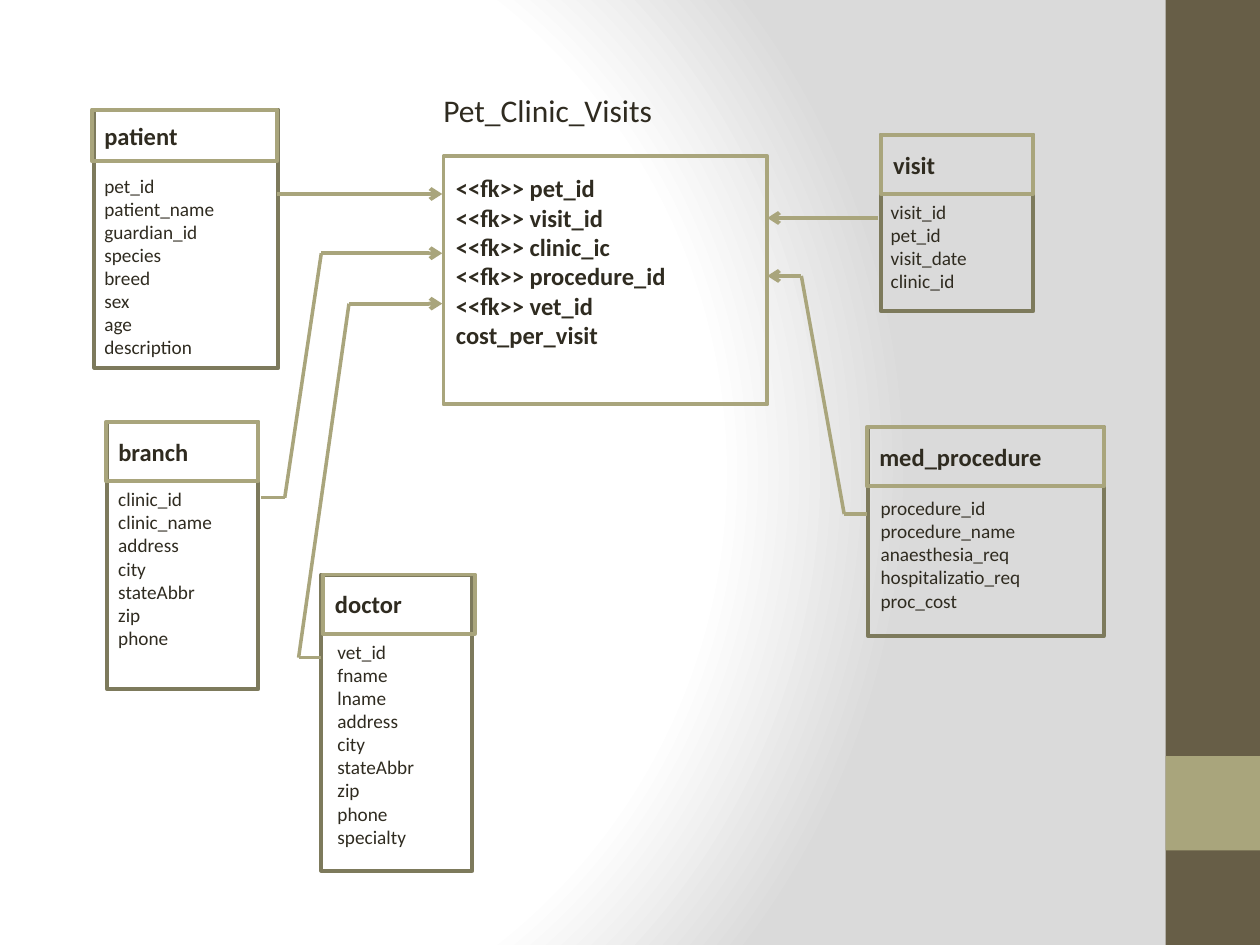
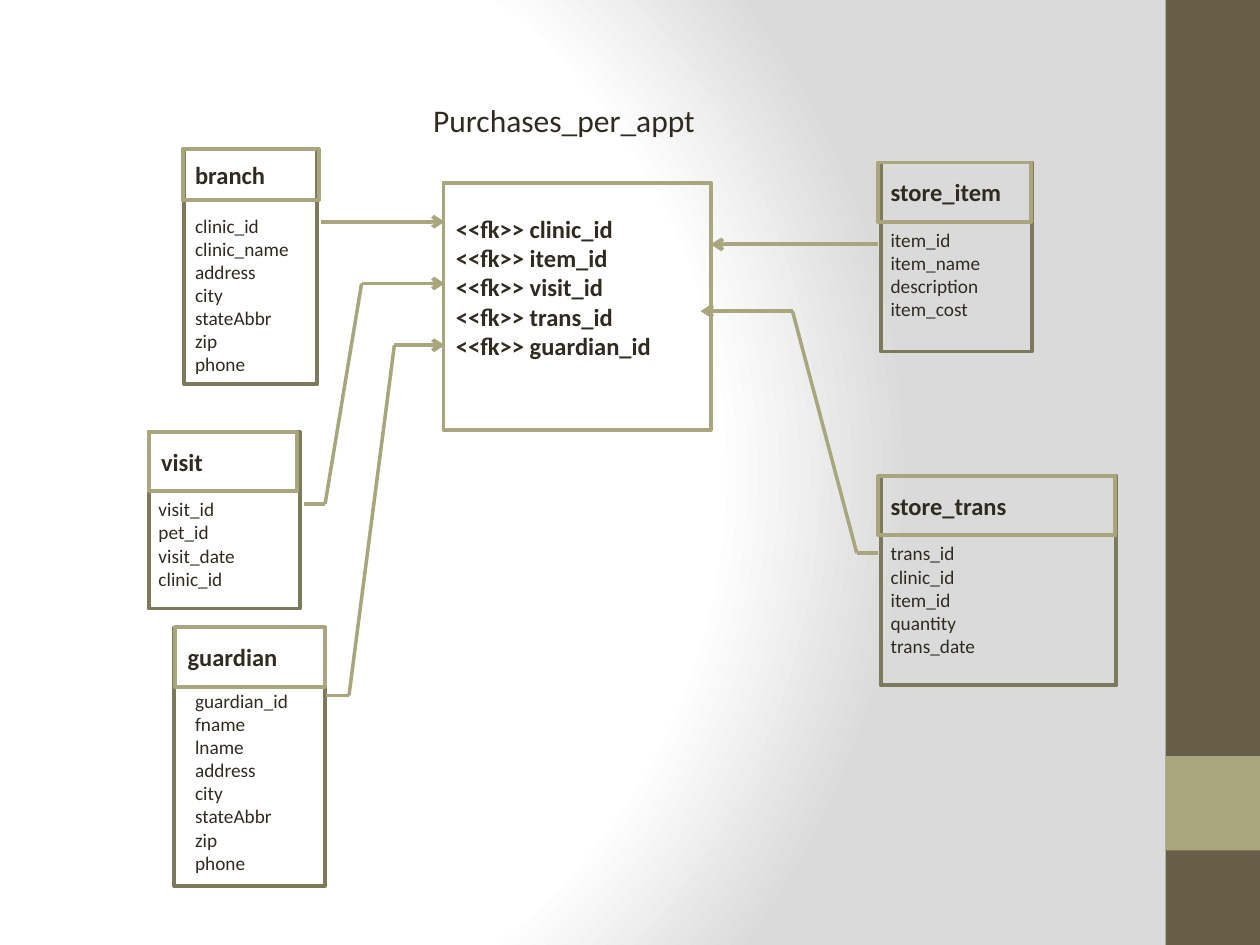
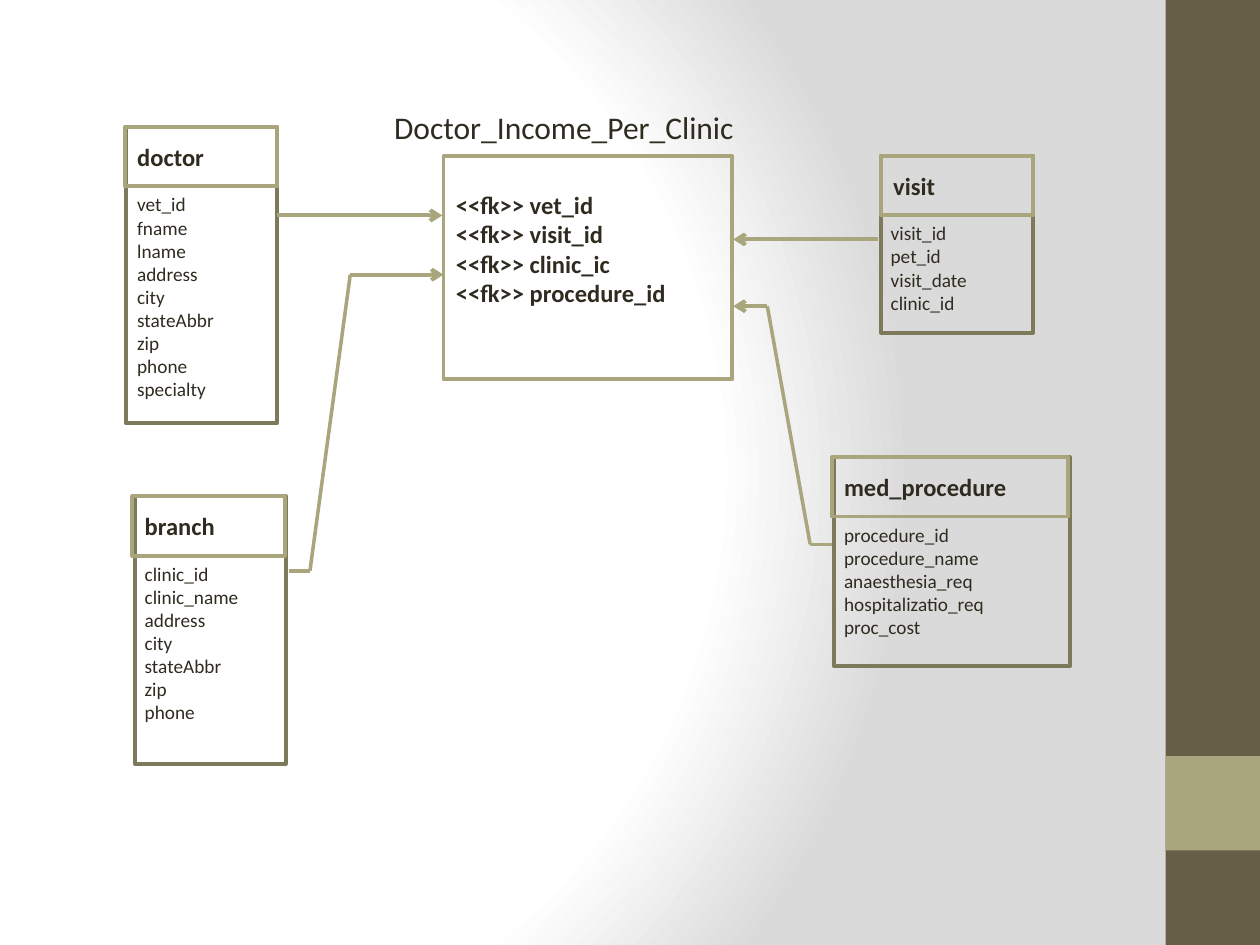
from itertools import pairwise

from lxml import etree
from pptx import Presentation
from pptx.dml.color import RGBColor
from pptx.enum.shapes import MSO_CONNECTOR as Connector, MSO_SHAPE as Shape
from pptx.enum.text import MSO_ANCHOR as Anchor, MSO_AUTO_SIZE as AutoSize, PP_ALIGN as Align
from pptx.oxml import parse_xml
from pptx.oxml.ns import nsdecls, qn
from pptx.util import Inches, Pt

INK = RGBColor(0x2F, 0x2B, 0x20)
BROWN = RGBColor(0x67, 0x5E, 0x47)
SAGE = RGBColor(0xA9, 0xA5, 0x7C)
OLIVE = RGBColor(0x7D, 0x7A, 0x5C)
FONT = "Calibri"
FRAME_WIDTH = 2.25
LINK_WIDTH = 2
HEAD_HEIGHT = 0.47
ROW_HEIGHT = 0.19
GLOW_STOPS = [(0, "FFFFFF"), (75, "FFFFFF"), (100, "DADADA")]

FIELDS = {
    "patient": ["pet_id", "patient_name", "guardian_id", "species", "breed", "sex", "age",
                "description"],
    "visit": ["visit_id", "pet_id", "visit_date", "clinic_id"],
    "branch": ["clinic_id", "clinic_name", "address", "city", "stateAbbr", "zip", "phone"],
    "doctor": ["vet_id", "fname", "lname", "address", "city", "stateAbbr", "zip", "phone",
               "specialty"],
    "guardian": ["guardian_id", "fname", "lname", "address", "city", "stateAbbr", "zip",
                 "phone"],
    "med_procedure": ["procedure_id", "procedure_name", "anaesthesia_req",
                      "hospitalizatio_req", "proc_cost"],
    "store_item": ["item_id", "item_name", "description", "item_cost"],
    "store_trans": ["trans_id", "clinic_id", "item_id", "quantity", "trans_date"],
}


def inches(box):
    return [Inches(length) for length in box]


def set_glow(master):
    fill = master.background.fill
    fill.gradient()
    stops = "".join(
        f'<a:gs pos="{place * 1000}"><a:srgbClr val="{color}"/></a:gs>'
        for place, color in GLOW_STOPS
    )
    glow = parse_xml(
        f'<a:gradFill {nsdecls("a")} rotWithShape="1"><a:gsLst>{stops}</a:gsLst>'
        '<a:path path="circle"><a:fillToRect l="20000" t="50000" r="100000" b="50000"/>'
        '</a:path></a:gradFill>'
    )
    old = next(master.element.iter(qn("a:gradFill")))
    old.getparent().replace(old, glow)


def write_lines(frame, lines, size, bold=False):
    frame.text = "\n".join(lines)
    frame.word_wrap = True
    for para in frame.paragraphs:
        para.alignment = Align.LEFT
        for span in para.runs:
            span.font.name = FONT
            span.font.size = Pt(size)
            span.font.bold = bold
            span.font.color.rgb = INK


def add_rectangle(page, box, fill=None, line=None):
    rectangle = page.shapes.add_shape(Shape.RECTANGLE, *inches(box))
    rectangle.shadow.inherit = False
    if fill is None:
        rectangle.fill.background()
    else:
        rectangle.fill.solid()
        rectangle.fill.fore_color.rgb = fill
    if line is None:
        rectangle.line.fill.background()
    else:
        rectangle.line.color.rgb = line
        rectangle.line.width = Pt(FRAME_WIDTH)
    return rectangle


def add_text(page, box, lines, size):
    frame = page.shapes.add_textbox(*inches(box)).text_frame
    write_lines(frame, lines, size)
    frame.auto_size = AutoSize.SHAPE_TO_FIT_TEXT


def add_side_band(page, box):
    left, top, width, height = box
    add_rectangle(page, box, fill=BROWN)
    add_rectangle(page, (left, top + height * 0.8, width, width), fill=SAGE)


def add_fact(page, box, keys, measures=()):
    frame = add_rectangle(page, box, line=SAGE).text_frame
    write_lines(frame, [f"<<fk>> {key}" for key in keys] + list(measures), 14, bold=True)
    frame.vertical_anchor = Anchor.MIDDLE
    frame.margin_bottom = Inches(0.35)


def add_entity(page, name, box, head_shift=-0.01, head_width=None, head_height=HEAD_HEIGHT,
               text_shift=-0.01, text_drop=HEAD_HEIGHT, text_width=None):
    left, top, width, _ = box
    fields = FIELDS[name]
    add_rectangle(page, box, line=OLIVE)
    head_box = (left + head_shift, top, head_width or width + 0.01, head_height)
    head = add_rectangle(page, head_box, line=SAGE)
    write_lines(head.text_frame, [name], 14, bold=True)
    head.text_frame.vertical_anchor = Anchor.MIDDLE
    text_height = 0.1 + ROW_HEIGHT * len(fields)
    text_box = (left + text_shift, top + text_drop, text_width or width, text_height)
    add_text(page, text_box, fields, 11)


def add_route(page, *points):
    for start, end in pairwise(points):
        link = page.shapes.add_connector(Connector.STRAIGHT, *inches(start + end))
        link.line.color.rgb = SAGE
        link.line.width = Pt(LINK_WIDTH)
        etree.SubElement(link.element.spPr, qn("a:effectLst"))
    link.line.width = Pt(FRAME_WIDTH)
    etree.SubElement(link.line._get_or_add_ln(), qn("a:tailEnd"), type="arrow")


def add_page(deck, title, title_box):
    page = deck.slides.add_slide(deck.slide_layouts[6])
    add_side_band(page, (9.25, 0, 0.75, 7.5))
    add_text(page, title_box, [title], 18)
    return page


def add_visits_page(deck):
    page = add_page(deck, "Pet_Clinic_Visits", (3.42, 0.67, 2.4, 0.4))
    add_fact(page, (3.52, 1.24, 2.57, 1.97),
             ["pet_id", "visit_id", "clinic_ic", "procedure_id", "vet_id"],
             ["cost_per_visit"])
    add_entity(page, "patient", (0.75, 0.87, 1.46, 2.05), head_shift=-0.02,
               head_height=0.41, text_shift=-0.02, text_drop=0.46)
    add_entity(page, "branch", (0.85, 3.35, 1.2, 2.12))
    add_entity(page, "doctor", (2.55, 4.56, 1.2, 2.35), head_shift=0.01, text_shift=0.03)
    add_entity(page, "visit", (6.99, 1.07, 1.21, 1.4), head_shift=0, head_width=1.21,
               text_shift=-0.02)
    add_entity(page, "med_procedure", (6.89, 3.39, 1.87, 1.66), text_shift=0,
               text_drop=0.5, text_width=1.78)
    add_route(page, (2.2, 1.54), (3.51, 1.54))
    add_route(page, (2.07, 3.95), (2.26, 3.95), (2.55, 2.01), (3.51, 2.01))
    add_route(page, (2.55, 5.22), (2.37, 5.22), (2.77, 2.41), (3.51, 2.41))
    add_route(page, (6.97, 1.73), (6.09, 1.73))
    add_route(page, (6.88, 4.08), (6.7, 4.08), (6.36, 2.19), (6.09, 2.19))


def add_purchases_page(deck):
    page = add_page(deck, "Purchases_per_appt", (3.34, 0.75, 2.3, 0.4))
    add_fact(page, (3.52, 1.45, 2.12, 1.96),
             ["clinic_id", "item_id", "visit_id", "trans_id", "guardian_id"])
    add_entity(page, "branch", (1.46, 1.18, 1.06, 1.87), head_width=1.08, head_height=0.41)
    add_entity(page, "visit", (1.18, 3.43, 1.2, 1.4), head_shift=0, head_width=1.18,
               text_shift=-0.02)
    add_entity(page, "guardian", (1.38, 4.98, 1.2, 2.05), head_shift=0.01, head_width=1.19,
               text_shift=0.07, text_drop=0.44)
    add_entity(page, "store_item", (6.99, 1.29, 1.2, 1.5), head_shift=-0.02,
               text_shift=-0.02)
    add_entity(page, "store_trans", (6.99, 3.78, 1.87, 1.66), head_shift=-0.02,
               text_shift=-0.02, text_width=1.78)
    add_route(page, (2.55, 1.76), (3.53, 1.76))
    add_route(page, (2.41, 4), (2.58, 4), (2.87, 2.25), (3.53, 2.25))
    add_route(page, (2.59, 5.52), (2.77, 5.52), (3.13, 2.74), (3.53, 2.74))
    add_route(page, (6.97, 1.94), (5.64, 1.94))
    add_route(page, (6.97, 4.39), (6.8, 4.39), (6.29, 2.47), (5.56, 2.47))


def add_income_page(deck):
    page = add_page(deck, "Doctor_Income_Per_Clinic", (3.03, 0.81, 3.93, 0.4))
    add_fact(page, (3.52, 1.24, 2.29, 1.77),
             ["vet_id", "visit_id", "clinic_ic", "procedure_id"])
    add_entity(page, "doctor", (1, 1.01, 1.2, 2.35))
    add_entity(page, "branch", (1.07, 3.94, 1.2, 2.12), head_shift=-0.02, text_shift=-0.02)
    add_entity(page, "visit", (6.99, 1.24, 1.21, 1.4), head_shift=0, head_width=1.21,
               text_shift=-0.02)
    add_entity(page, "med_procedure", (6.62, 3.63, 1.87, 1.66), head_shift=-0.02,
               text_shift=-0.02, text_width=1.78)
    add_route(page, (2.2, 1.71), (3.51, 1.71))
    add_route(page, (2.29, 4.53), (2.46, 4.53), (2.78, 2.18), (3.52, 2.18))
    add_route(page, (6.97, 1.9), (5.82, 1.9))
    add_route(page, (6.6, 4.32), (6.43, 4.32), (6.09, 2.43), (5.82, 2.43))


deck = Presentation()
deck.slide_width = Inches(10)
deck.slide_height = Inches(7.5)
set_glow(deck.slide_master)
add_visits_page(deck)
add_purchases_page(deck)
add_income_page(deck)
deck.save("out.pptx")
